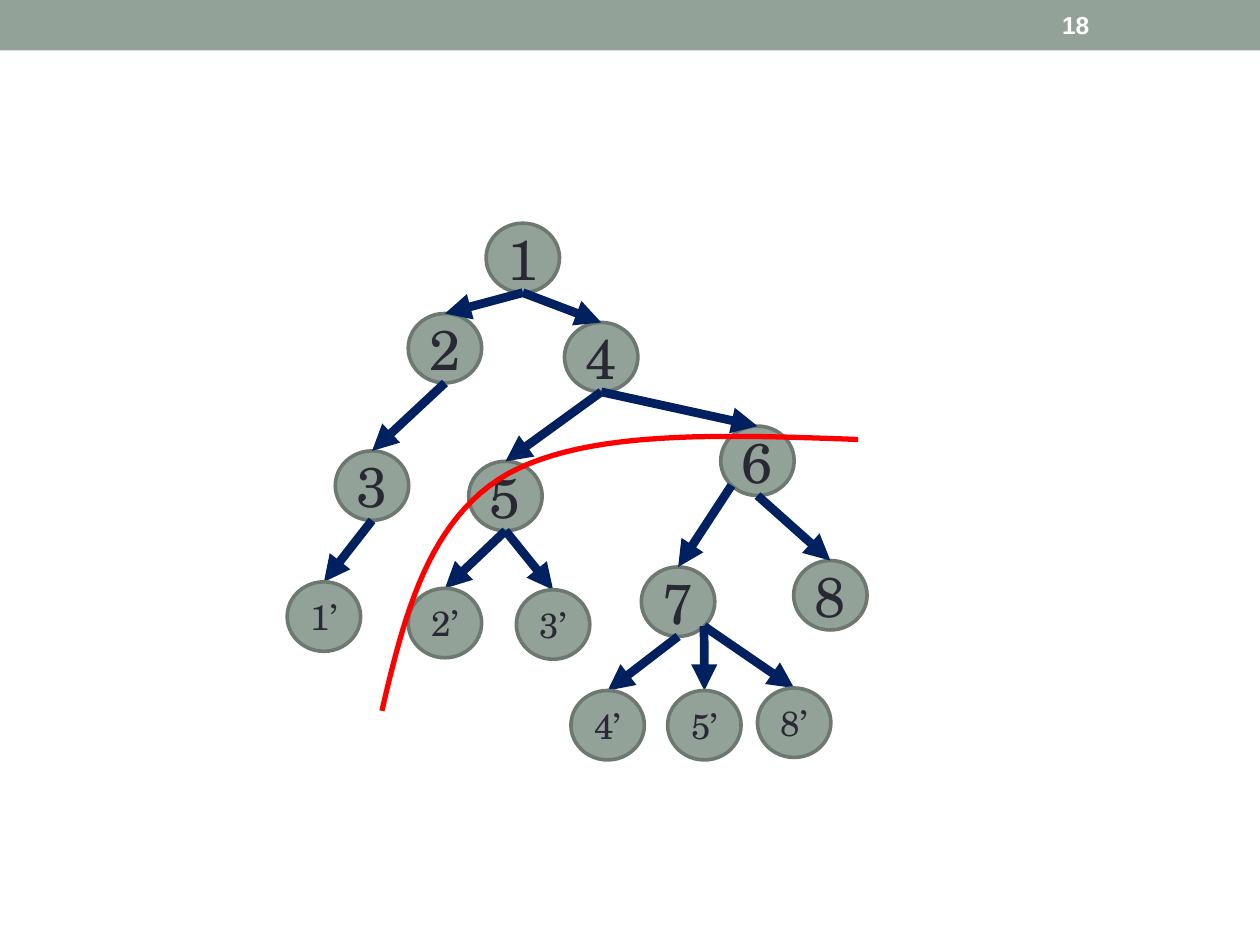
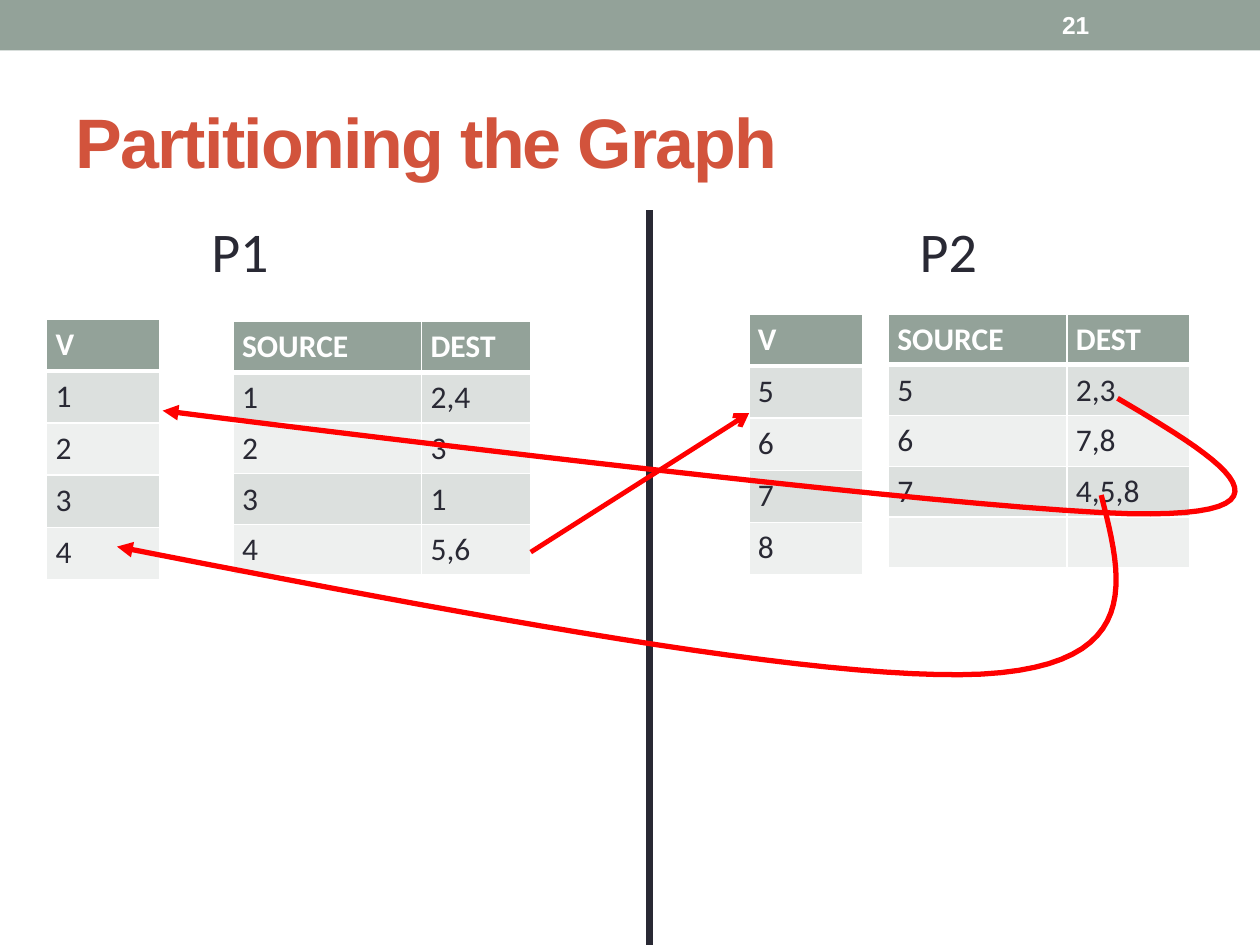
from math import cos, sin, radians

from lxml import etree
from pptx import Presentation
from pptx.dml.color import RGBColor as RGB
from pptx.enum.shapes import MSO_CONNECTOR as CXN, MSO_SHAPE as SHAPE
from pptx.enum.text import MSO_ANCHOR as ANCHOR, PP_ALIGN as ALIGN
from pptx.oxml.ns import qn
from pptx.util import Cm, Pt

COLORS = {
    "sage": "93A299", "sage_dark": "6D7871", "ink": "292934", "navy": "002060",
    "red": "FF0000", "rust": "D2533C", "white": "FFFFFF",
    "band_dark": "DCE0DE", "band_light": "EEF0EF",
}
FORMATS = {
    "number": ({"name": "Arial", "size": Pt(14), "bold": True}, "white"),
    "title": ({"name": "Arial", "size": Pt(40), "bold": True}, "rust"),
    "node": ({"name": "TeX Gyre Schola", "size": Pt(32)}, "ink"),
    "leaf": ({"name": "TeX Gyre Schola", "size": Pt(20)}, "ink"),
    "partition": ({"name": "Calibri", "size": Pt(32)}, "ink"),
    "head": ({"name": "Calibri", "size": Pt(18), "bold": True}, "white"),
    "cell": ({"name": "Calibri", "size": Pt(18), "bold": False}, "ink"),
}


def write(tf, text, fmt, **frame):
    """Fill a text frame with one formatted run."""
    for key, value in frame.items():
        setattr(tf, key, value)
    r = tf.paragraphs[0].add_run()
    r.text = text
    values, color = FORMATS[fmt]
    for key, value in values.items():
        setattr(r.font, key, value)
    r.font.color.rgb = RGB.from_string(COLORS[color])
    return r


def style_line(s, color, width, tail=None):
    """Colour a line, drop its shadow and give it an arrowhead."""
    s.line.color.rgb = RGB.from_string(COLORS[color])
    s.line.width = Pt(width)
    sp_pr = s._element.spPr
    if tail:
        etree.SubElement(sp_pr.find(qn("a:ln")), qn("a:tailEnd"), type=tail)
    etree.SubElement(sp_pr, qn("a:effectLst"))


prs = Presentation()
prs.slide_width, prs.slide_height = Cm(25.4), Cm(19.05)

# Shared band and slide number
slides = []
for number in ("18", "21"):
    slide = prs.slides.add_slide(prs.slide_layouts[6])
    band = slide.shapes.add_shape(SHAPE.RECTANGLE, 0, 0, prs.slide_width, Cm(1.02))
    band.shadow.inherit = False
    band.fill.solid()
    band.fill.fore_color.rgb = RGB.from_string(COLORS["sage"])
    band.line.fill.background()
    box = slide.shapes.add_textbox(Cm(21.16), Cm(0.05), Cm(2.97), Cm(0.91))
    write(box.text_frame, number, "number", word_wrap=True, vertical_anchor=ANCHOR.MIDDLE)
    slides.append(slide)
tree_slide, table_slide = slides

# Tree: left and top of each node
NODE_W, NODE_H = 1.48, 1.4
NODES = {
    "1": (9.8, 4.5), "3": (6.76, 9.09), "4": (11.38, 6.5), "2": (8.23, 6.32),
    "5": (9.45, 9.3), "8": (16, 11.3), "7": (12.93, 11.43), "6": (14.53, 8.59),
}
LEAVES = {
    "1’": (5.79, 11.73), "2’": (8.23, 11.86), "3’": (10.41, 11.89),
    "4’": (11.51, 13.92), "5’": (13.46, 13.92), "8’": (15.27, 13.87),
}
# Parent, child, angle at which the arrow leaves the parent (90 is the bottom)
EDGES = [
    ("1", "4", 90), ("1", "2", 90), ("2", "3", 90), ("3", "1’", 90),
    ("4", "5", 90), ("4", "6", 90), ("6", "8", 90), ("7", "8’", 45),
    ("6", "7", 135), ("7", "4’", 90), ("7", "5’", 45), ("5", "2’", 90), ("5", "3’", 90),
]
places = NODES | LEAVES

for group, fmt in ((NODES, "node"), (LEAVES, "leaf")):
    for label, (x, y) in group.items():
        s = tree_slide.shapes.add_shape(SHAPE.OVAL, Cm(x), Cm(y), Cm(NODE_W), Cm(NODE_H))
        s.fill.solid()
        s.fill.fore_color.rgb = RGB.from_string(COLORS["sage"])
        style_line(s, "sage_dark", 2.08)
        write(s.text_frame, label, fmt, word_wrap=False, vertical_anchor=ANCHOR.MIDDLE)
        s.text_frame.paragraphs[0].alignment = ALIGN.CENTER
    if group is NODES:  # arrows lie between the inner nodes and the leaves
        for parent, child, angle in EDGES:
            (px, py), (cx, cy) = places[parent], places[child]
            start_x = px + NODE_W / 2 * (1 + cos(radians(angle)))
            start_y = py + NODE_H / 2 * (1 + sin(radians(angle)))
            s = tree_slide.shapes.add_connector(
                CXN.STRAIGHT, Cm(start_x), Cm(start_y), Cm(cx + NODE_W / 2), Cm(cy))
            style_line(s, "navy", 5, "triangle")

# Title and partition names
box = table_slide.shapes.add_textbox(Cm(1.27), Cm(1.47), Cm(22.86), Cm(2.74))
r = write(box.text_frame, "Partitioning the Graph", "title",
          word_wrap=True, vertical_anchor=ANCHOR.MIDDLE)
r._r.get_or_add_rPr().set("spc", "-100")
for name, x in (("P1", 4.01), ("P2", 18.29)):
    box = table_slide.shapes.add_textbox(Cm(x), Cm(4.24), Cm(1.68), Cm(1.63))
    write(box.text_frame, name, "partition", word_wrap=False)

# Vertex and edge tables: left, top, row height, column widths, rows
TABLES = [
    (0.94, 6.43, 1.05, [2.29], [["V"], ["1"], ["2"], ["3"], ["4"]]),
    (4.7, 6.48, 1.02, [3.8, 2.2],
     [["SOURCE", "DEST"], ["1", "2,4"], ["2", "3"], ["3", "1"], ["4", "5,6"]]),
    (15.1, 6.33, 1.05, [2.29], [["V"], ["5"], ["6"], ["7"], ["8"]]),
    (17.91, 6.33, 1.02, [3.6, 2.47],
     [["SOURCE", "DEST"], ["5", "2,3"], ["6", "7,8"], ["7", "4,5,8"], ["", ""]]),
]
MARGINS = {"margin_left": Cm(0.18), "margin_right": Cm(0.18),
           "margin_top": Cm(0.13), "margin_bottom": Cm(0.13)}

for x, y, row_h, widths, rows in TABLES:
    table = table_slide.shapes.add_table(
        len(rows), len(widths), Cm(x), Cm(y), Cm(sum(widths)), Cm(row_h * len(rows))).table
    table.horz_banding = False
    for col, width in zip(table.columns, widths):
        col.width = Cm(width)
    for i, row in enumerate(rows):
        table.rows[i].height = Cm(row_h)
        fill = "sage" if i == 0 else ("band_light", "band_dark")[i % 2]
        for j, text in enumerate(row):
            cell = table.cell(i, j)
            for key, value in MARGINS.items():
                setattr(cell, key, value)
            if text:
                write(cell.text_frame, text, "cell" if i else "head")
            for side in ("lnL", "lnR", "lnT", "lnB"):
                thick = (i, side) in ((0, "lnB"), (1, "lnT"))
                ln = etree.SubElement(cell._tc.get_or_add_tcPr(), qn(f"a:{side}"),
                                      w=str(Pt(3 if thick else 1)))
                solid = etree.SubElement(ln, qn("a:solidFill"))
                etree.SubElement(solid, qn("a:srgbClr"), val=COLORS["white"])
            cell.fill.solid()
            cell.fill.fore_color.rgb = RGB.from_string(COLORS[fill])

# Divider and straight cross-partition arrow
for x1, y1, x2, y2, color, width, tail in (
        (13.1, 4.24, 13.1, 19.05, "ink", 4, None),
        (10.7, 11.13, 15.1, 8.33, "red", 2.75, "arrow")):
    s = table_slide.shapes.add_connector(CXN.STRAIGHT, Cm(x1), Cm(y1), Cm(x2), Cm(y2))
    style_line(s, color, width, tail)

# Red curves: a start point, then two Bézier controls and an end per segment
CURVES = [
    (tree_slide, None, [(17.3, 8.86), (14.58, 8.76), (11.86, 8.66), (10.24, 9.55),
                        (8.64, 10.46), (8.15, 12.4), (7.7, 14.33)]),
    (table_slide, "triangle", [(22.53, 8.03), (24.46, 9.17), (26.39, 10.34), (23.19, 10.36),
                               (19.99, 10.41), (3.28, 8.28), (3.28, 8.28)]),
    (table_slide, "triangle", [(22.2, 9.98), (22.63, 11.68), (23.09, 13.41), (19.79, 13.59),
                               (16.48, 13.74), (9.42, 12.4), (2.36, 11.02)]),
]
STEPS = 24
for slide, tail, points in CURVES:
    outline = []
    for k in range(0, len(points) - 1, 3):
        for step in range(1, STEPS + 1):
            t = step / STEPS
            weights = ((1 - t) ** 3, 3 * t * (1 - t) ** 2, 3 * t ** 2 * (1 - t), t ** 3)
            outline.append([Cm(sum(w * p[axis] for w, p in zip(weights, points[k:k + 4])))
                            for axis in (0, 1)])
    builder = slide.shapes.build_freeform(Cm(points[0][0]), Cm(points[0][1]))
    builder.add_line_segments(outline, close=False)
    s = builder.convert_to_shape()
    s.fill.background()
    style_line(s, "red", 3, tail)

prs.save("out.pptx")
